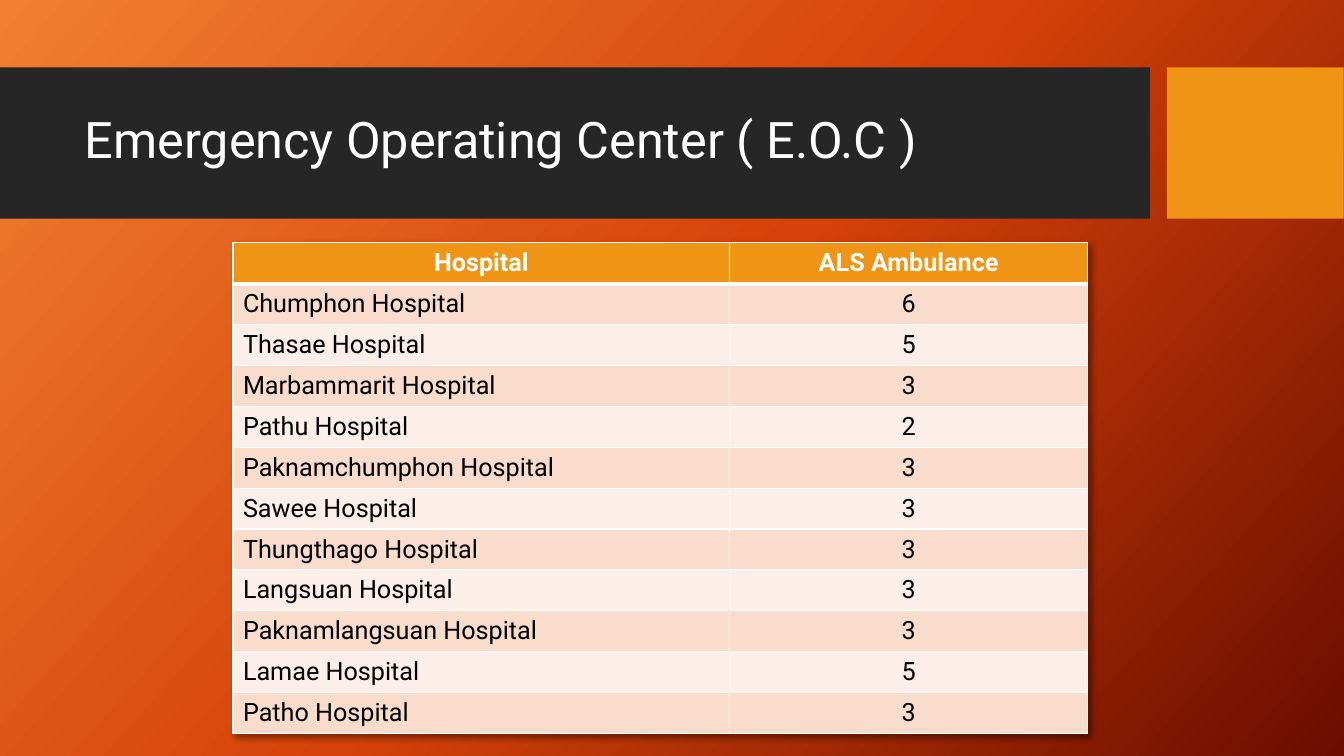
from copy import deepcopy

from lxml.etree import SubElement
from pptx import Presentation
from pptx.dml.color import RGBColor
from pptx.enum.shapes import MSO_SHAPE
from pptx.enum.text import MSO_ANCHOR, PP_ALIGN
from pptx.oxml import parse_xml
from pptx.oxml.ns import nsdecls, qn
from pptx.util import Cm, Pt

COLORS = {
    "white": "FFFFFF",
    "black": "000000",
    "charcoal": "262626",
    "amber": "F09415",
    "peach": "F9DCCC",
    "cream": "FCEEE8",
    "glow": "F18031",
    "flame": "D54209",
    "ember": "6A0D00",
}

HEADERS = ("Hospital", "ALS Ambulance")
AMBULANCES = [
    ("Chumphon Hospital", 6),
    ("Thasae Hospital", 5),
    ("Marbammarit Hospital", 3),
    ("Pathu Hospital", 2),
    ("Paknamchumphon Hospital", 3),
    ("Sawee Hospital", 3),
    ("Thungthago Hospital", 3),
    ("Langsuan Hospital", 3),
    ("Paknamlangsuan Hospital", 3),
    ("Lamae Hospital", 5),
    ("Patho Hospital", 3),
]


def rgb(name):
    """Return the named palette colour."""
    return RGBColor.from_string(COLORS[name])


class SlideBuilder:
    """Holds the style and the current slide."""

    def __init__(self, page, font="Roboto"):
        """Remember the slide and its font."""
        self.page = page
        self.font = font

    def background(self, names, angle):
        """Fill the background with evenly spaced gradient colours."""
        fill = self.page.background.fill
        fill.gradient()
        fill.gradient_angle = 360 - angle
        stops = self.page.element.find(".//" + qn("a:gsLst"))
        while len(stops) < len(names):
            stops.append(deepcopy(stops[-1]))
        for index, (stop, name) in enumerate(zip(fill.gradient_stops, names)):
            stop.position = index / (len(names) - 1)
            stop.color.rgb = rgb(name)

    def band(self, left, width, color):
        """Draw a header block behind the title."""
        block = self.page.shapes.add_shape(
            MSO_SHAPE.RECTANGLE, Cm(left), Cm(1.7), Cm(width), Cm(3.81))
        block.shadow.inherit = False
        block.fill.solid()
        block.fill.fore_color.rgb = rgb(color)
        block.line.fill.background()
        self.page.shapes.title.element.addprevious(block.element)

    def style_text(self, paragraph, size, color, align, bold=False):
        """Format a paragraph and its runs."""
        paragraph.alignment = align
        for span in paragraph.runs:
            span.font.name = self.font
            span.font.size = Pt(size)
            span.font.bold = bold
            span.font.color.rgb = rgb(color)

    def title(self, text):
        """Place and format the title placeholder."""
        box = self.page.shapes.title
        box.left, box.top, box.width, box.height = Cm(1.88), Cm(2.08), Cm(26.7), Cm(3)
        box.text_frame.text = text
        box.text_frame.vertical_anchor = MSO_ANCHOR.MIDDLE
        para = box.text_frame.paragraphs[0]
        para.line_spacing = 0.9
        self.style_text(para, 36, "white", PP_ALIGN.LEFT)

    def border(self, cell, side, width):
        """Draw one white cell border."""
        line = SubElement(cell._tc.get_or_add_tcPr(), qn("a:ln" + side), w=str(Pt(width)))
        fill = SubElement(line, qn("a:solidFill"))
        SubElement(fill, qn("a:srgbClr"), val=COLORS["white"])

    def cell(self, cell, value, row, column):
        """Fill and format one table cell."""
        header = row == 0
        thick = {(0, "B"), (1, "T")}
        for side in "LRTB":
            self.border(cell, side, 3 if (row, side) in thick else 1)
        cell.fill.solid()
        cell.fill.fore_color.rgb = rgb("amber" if header else ("cream", "peach")[row % 2])
        cell.vertical_anchor = MSO_ANCHOR.MIDDLE
        cell.text_frame.text = str(value)
        align = PP_ALIGN.CENTER if header or column else PP_ALIGN.LEFT
        color = "white" if header else "black"
        self.style_text(cell.text_frame.paragraphs[0], 18, color, align, header)

    def table(self, rows, left, top, widths, row_height):
        """Add a shadowed table with a header row."""
        frame = self.page.shapes.add_table(
            len(rows), len(widths), Cm(left), Cm(top),
            Cm(sum(widths)), Cm(row_height * len(rows)))
        grid = frame.table
        for column, width in zip(grid.columns, widths):
            column.width = Cm(width)
        for row, values in enumerate(rows):
            grid.rows[row].height = Cm(row_height)
            for column, value in enumerate(values):
                self.cell(grid.cell(row, column), value, row, column)
        shadow = parse_xml(
            f'<a:effectLst {nsdecls("a")}><a:outerShdw blurRad="50800" dist="38100" '
            f'dir="2700000" algn="tl" rotWithShape="0"><a:srgbClr val="{COLORS["black"]}">'
            '<a:alpha val="40000"/></a:srgbClr></a:outerShdw></a:effectLst>')
        frame.element.find(".//" + qn("a:tblPr")).insert(0, shadow)


def main():
    """Build and save the deck."""
    deck = Presentation()
    deck.slide_width, deck.slide_height = Cm(33.87), Cm(19.05)
    builder = SlideBuilder(deck.slides.add_slide(deck.slide_layouts[5]))
    builder.background(("glow", "flame", "ember"), 42)
    builder.band(0, 28.98, "charcoal")
    builder.band(29.41, 4.45, "amber")
    builder.title("Emergency Operating Center ( E.O.C )")
    builder.table([HEADERS, *AMBULANCES], 5.87, 6.12, (12.52, 9.02), 1.03)
    deck.save("out.pptx")


if __name__ == "__main__":
    main()
